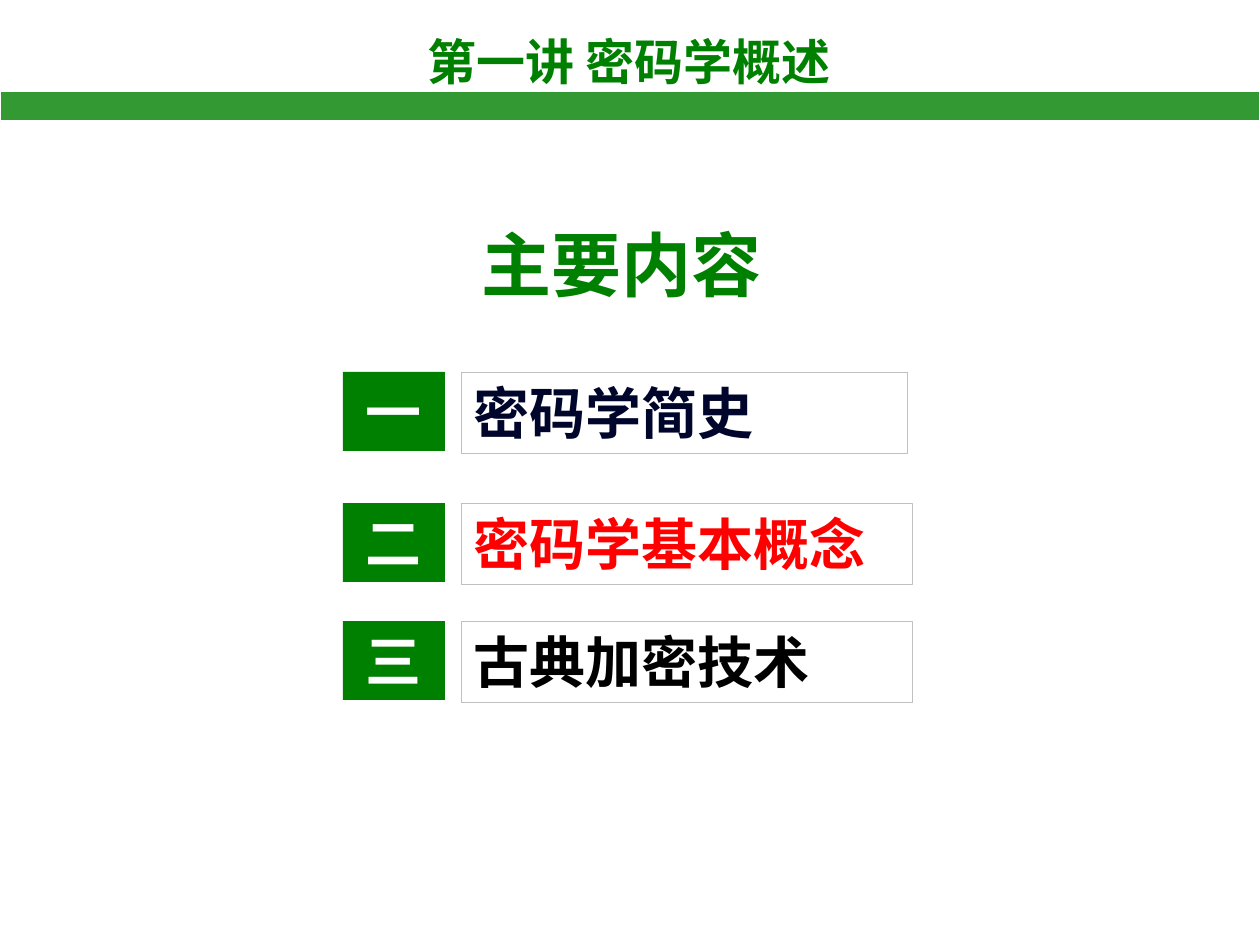
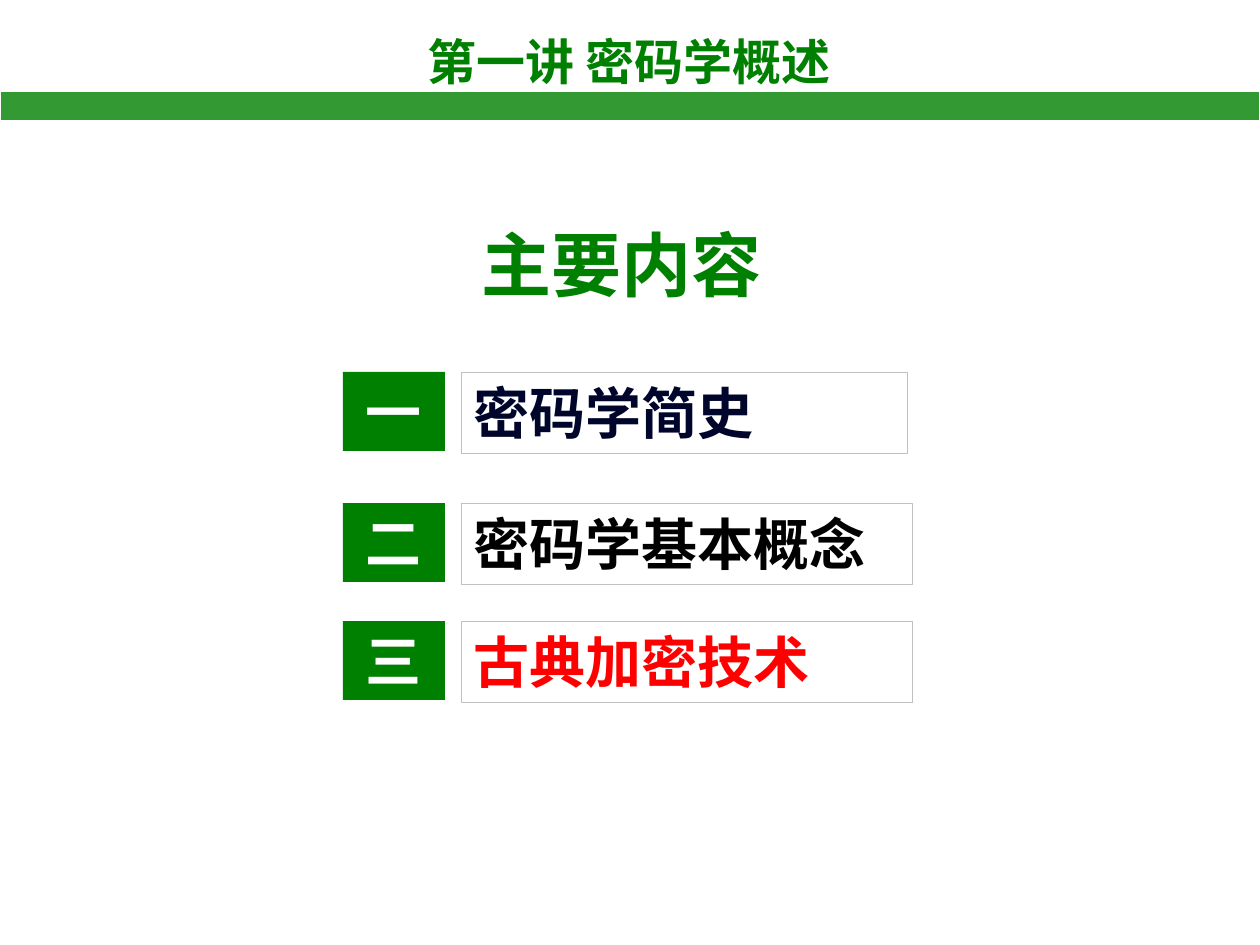
from lxml import etree
from pptx import Presentation
from pptx import util as u
from pptx.dml.color import RGBColor
from pptx.enum import lang, shapes, text
from pptx.oxml import ns

PX = u.Inches(1) / 126
SANS, SERIF = "Noto Sans CJK SC", "Times New Roman"
HEX = {
    "green": "008000", "band": "339933", "white": "FFFFFF", "edge": "C0C0C0",
    "navy": "00062B", "black": "000000", "red": "FF0000",
}
TOPICS = [
    ("一", "密码学简史", 372, 446, SANS, "navy"),
    ("二", "密码学基本概念", 503, 451, SERIF, "black"),
    ("三", "古典加密技术", 621, 451, SERIF, "black"),
]


def scale(*box):
    """Turn px lengths into EMU."""
    return [u.Emu(round(n * PX)) for n in box]


def tint(name):
    """Return the named colour."""
    return RGBColor.from_string(HEX[name])


def write(item, words, size, color, face=SANS, align="LEFT", wrap=True):
    """Set one bold line of text, centred upright in its box."""
    frame = item.text_frame
    frame.word_wrap = wrap
    frame.vertical_anchor = text.MSO_ANCHOR.MIDDLE
    para = frame.paragraphs[0]
    para.alignment = getattr(text.PP_ALIGN, align)
    run = para.add_run()
    run.text = words
    style = {"size": u.Pt(size), "bold": True, "name": face,
             "language_id": lang.MSO_LANGUAGE_ID.SIMPLIFIED_CHINESE}
    for key, value in style.items():
        setattr(run.font, key, value)
    run.font.color.rgb = tint(color)
    east = etree.SubElement(run._r.get_or_add_rPr(), ns.qn("a:ea"))
    east.set("typeface", SANS)


def block(slide, box, fill=None, line=None, width=0.75, kind="RECTANGLE"):
    """Add a flat shape with an optional fill and outline."""
    item = slide.shapes.add_shape(getattr(shapes.MSO_SHAPE, kind), *scale(*box))
    item.shadow.inherit = False
    for part, color in ((item.fill, fill), (item.line.fill, line)):
        if color:
            part.solid()
            part.fore_color.rgb = tint(color)
        else:
            part.background()
    if line:
        item.line.width = u.Pt(width)
    return item


def label(slide, box, words, size, **style):
    """Add a plain text box."""
    item = slide.shapes.add_textbox(*scale(*box))
    write(item, words, size, "green", **style)


def frame(slide):
    """Draw the lecture title, the band and the heading."""
    label(slide, (312, 25, 634, 72), "第一讲 密码学概述", 28, align="CENTER")
    block(slide, (0, 91, 1260, 30), "band", "white")
    label(slide, (469, 215, 326, 97), "主要内容", 40)


def topic(slide, mark, words, top, width, face, color):
    """Draw a numbered badge and its topic box."""
    badge = block(slide, (343, top, 102, 79), "green")
    write(badge, mark, 32, "white", align="CENTER", wrap=False)
    entry = block(slide, (461, top, width, 81), line="edge", width=0.25,
                  kind="ROUNDED_RECTANGLE")
    entry.adjustments[0] = 0
    write(entry, words, 32, color, face)


def agenda(deck, active):
    """Add an agenda slide with the active topic in red."""
    slide = deck.slides.add_slide(deck.slide_layouts[6])
    frame(slide)
    for spot, (*parts, color) in enumerate(TOPICS):
        topic(slide, *parts, "red" if spot == active else color)


def main():
    """Build and save the deck."""
    deck = Presentation()
    deck.slide_width, deck.slide_height = scale(1260, 945)
    for active in (1, 2):
        agenda(deck, active)
    deck.save("out.pptx")


if __name__ == "__main__":
    main()
